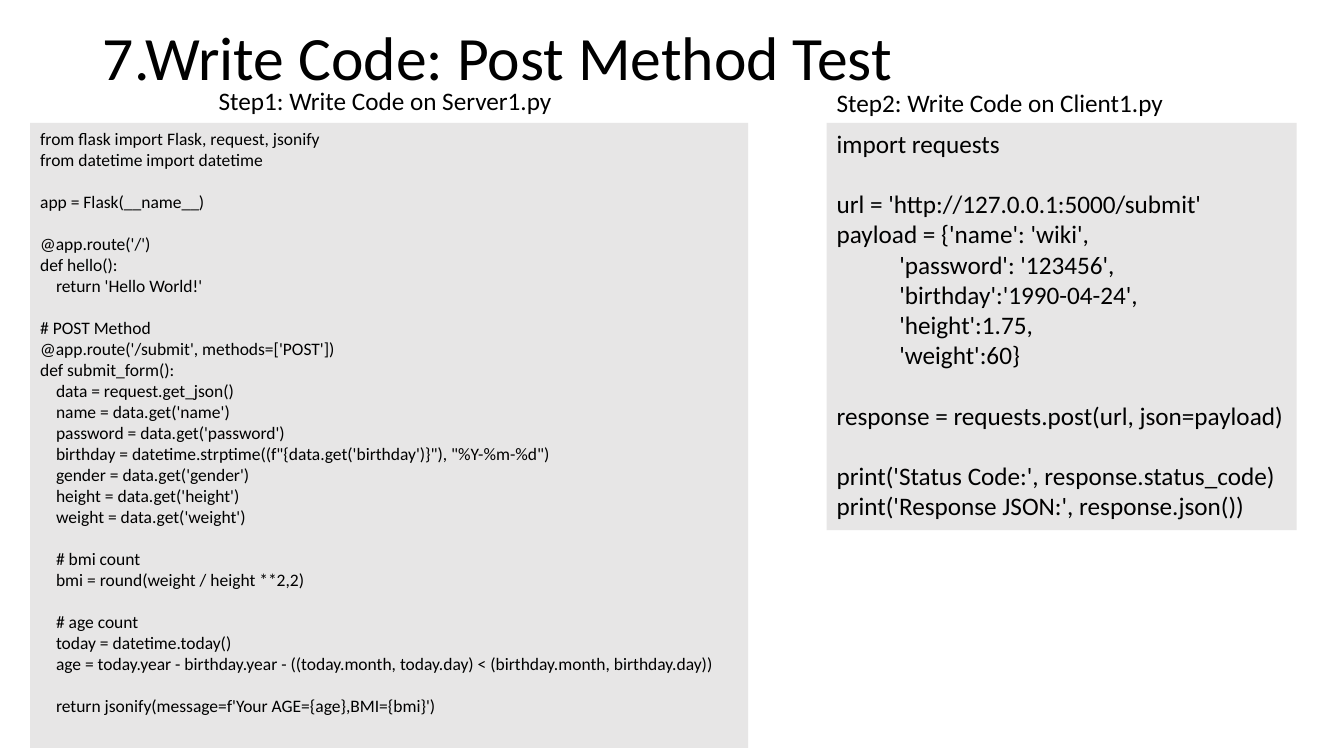
from pptx import Presentation
from pptx.dml.color import RGBColor
from pptx.enum.shapes import MSO_SHAPE
from pptx.enum.text import MSO_ANCHOR, MSO_AUTO_SIZE, PP_ALIGN
from pptx.util import Inches, Pt

RECTANGLE = MSO_SHAPE.RECTANGLE
LEFT, TOP, MIDDLE = PP_ALIGN.LEFT, MSO_ANCHOR.TOP, MSO_ANCHOR.MIDDLE
NO_AUTOFIT = MSO_AUTO_SIZE.NONE
LINE_HEIGHT = 1.2    # share of the font size
SPACE_WIDTH = 0.226  # share of the font size
CODE_TOP = 1.22

SERVER_CODE = """from flask import Flask, request, jsonify
from datetime import datetime

app = Flask(__name__)

@app.route('/')
def hello():
    return 'Hello World!'

# POST Method
@app.route('/submit', methods=['POST'])
def submit_form():
    data = request.get_json()
    name = data.get('name')
    password = data.get('password')
    birthday = datetime.strptime((f"{data.get('birthday')}"), "%Y-%m-%d")
    gender = data.get('gender')
    height = data.get('height')
    weight = data.get('weight')

    # bmi count
    bmi = round(weight / height **2,2)

    # age count
    today = datetime.today()
    age = today.year - birthday.year - ((today.month, today.day) < (birthday.month, birthday.day))

    return jsonify(message=f'Your AGE={age},BMI={bmi}')"""

CLIENT_CODE = """import requests

url = 'http://127.0.0.1:5000/submit'
payload = {'name': 'wiki',
           'password': '123456',
           'birthday':'1990-04-24',
           'height':1.75,
           'weight':60}

response = requests.post(url, json=payload)

print('Status Code:', response.status_code)
print('Response JSON:', response.json())"""


def color(value):
    return RGBColor.from_string(value)


def write_lines(shape, text, size, anchor=TOP):
    """Turn blank lines into space before, and leading spaces into indents."""
    frame = shape.text_frame
    frame_format = {"word_wrap": True, "auto_size": NO_AUTOFIT, "vertical_anchor": anchor}
    for name, value in frame_format.items():
        setattr(frame, name, value)
    paragraph, gap = frame.paragraphs[0], 0
    for line in text.split("\n"):
        code = line.lstrip()
        if not code:
            gap += size * LINE_HEIGHT
            continue
        if paragraph.runs:
            paragraph = frame.add_paragraph()
        run = paragraph.add_run()
        run.text = code
        run.font.color.rgb = color("000000")
        for name, value in {"name": "Calibri", "size": Pt(size)}.items():
            setattr(run.font, name, value)
        paragraph.alignment = LEFT
        paragraph.space_before = Pt(gap)
        indent = Pt((len(line) - len(code)) * SPACE_WIDTH * size)
        properties = paragraph._p.get_or_add_pPr()
        properties.set("marL", str(indent))
        properties.set("indent", "0")
        gap = 0


presentation = Presentation()
presentation.slide_width = Inches(13.33)
presentation.slide_height = Inches(7.5)
slide = presentation.slides.add_slide(presentation.slide_layouts[5])

title = slide.shapes.title
title_place = {"left": 0.92, "top": 0, "width": 10.58, "height": 1.2}
for name, value in title_place.items():
    setattr(title, name, Inches(value))
write_lines(title, "7.Write Code: Post Method Test", 44, MIDDLE)
title.text_frame.paragraphs[0].line_spacing = 0.9

code_panels = [
    (0.3, 7.12, 6.2, SERVER_CODE, 12.5),
    (8.2, 4.66, 4.04, CLIENT_CODE, 18),
]
for left, width, height, code, size in code_panels:
    panel = slide.shapes.add_shape(
        RECTANGLE, Inches(left), Inches(CODE_TOP), Inches(width), Inches(height))
    panel.shadow.inherit = False
    panel.fill.solid()
    panel.fill.fore_color.rgb = color("E7E6E6")
    panel.line.fill.background()
    write_lines(panel, code, size)

step_labels = [
    (2.07, 0.8, 4.41, "Step1: Write Code on Server1.py"),
    (8.2, 0.82, 4.16, "Step2: Write Code on Client1.py"),
]
for left, top, width, text in step_labels:
    label = slide.shapes.add_textbox(
        Inches(left), Inches(top), Inches(width), Inches(0.4))
    write_lines(label, text, 18)

presentation.save("out.pptx")
